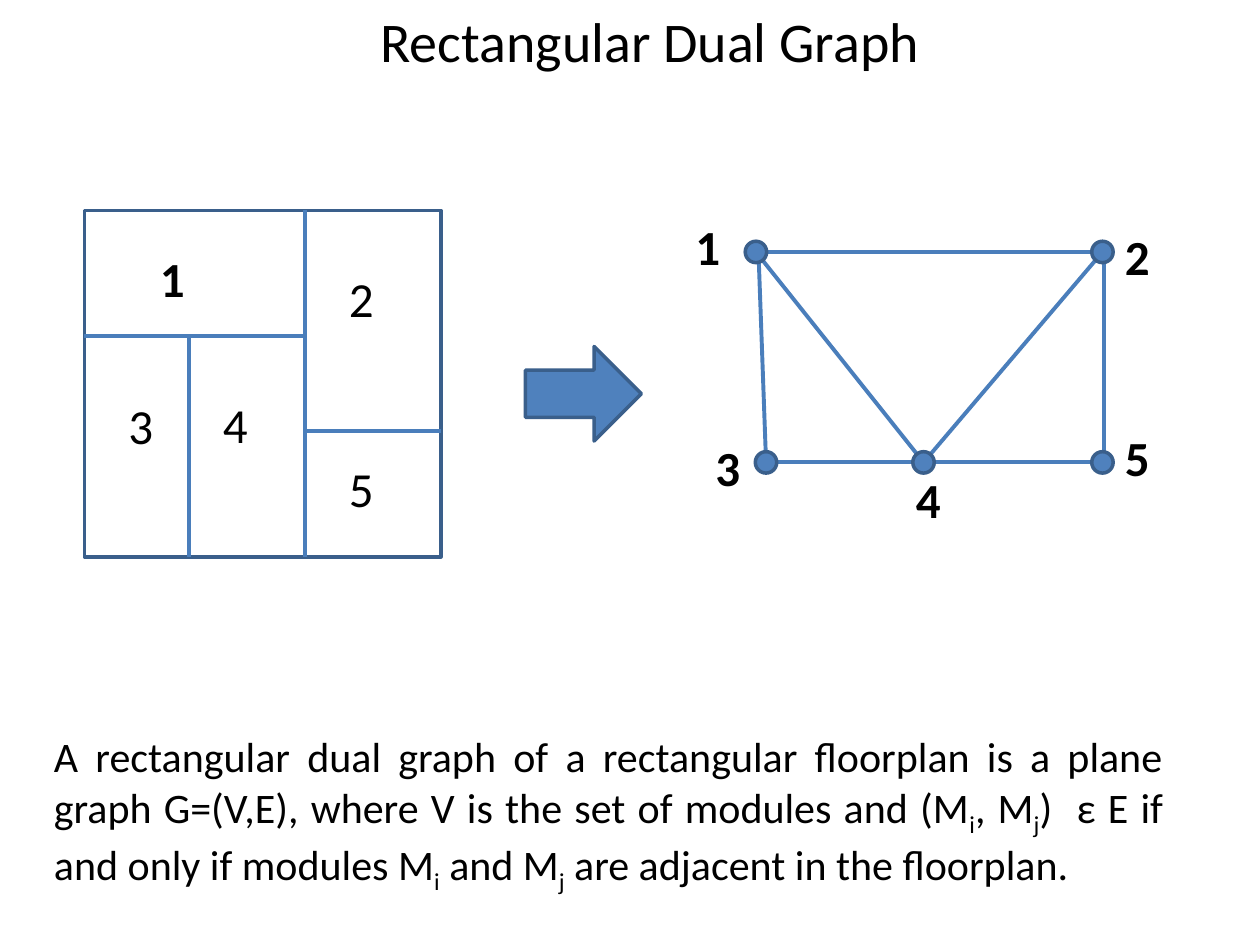
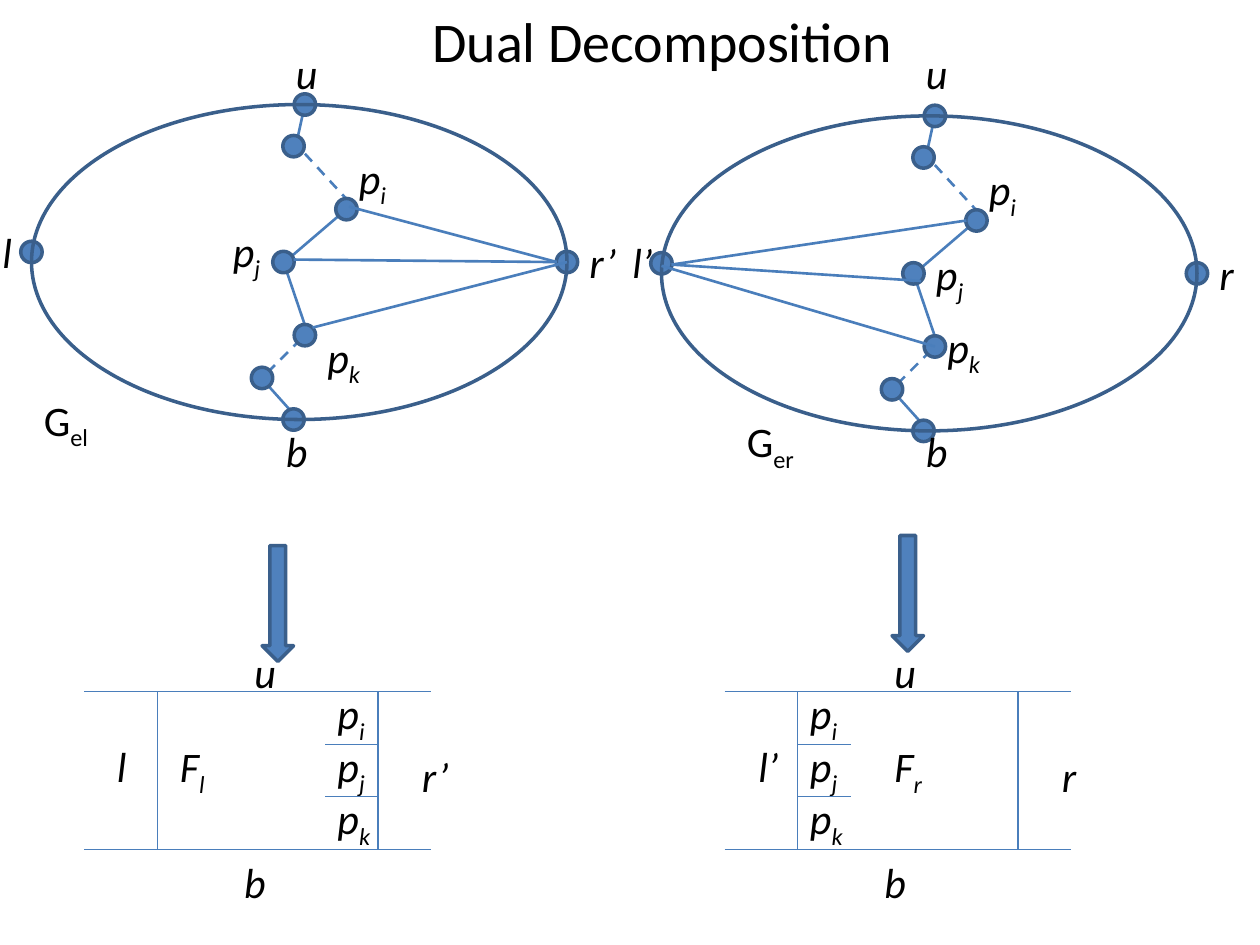
import pptx
import pptx.dml.color
import pptx.enum.dml
import pptx.enum.shapes
import pptx.enum.text
import pptx.oxml.ns
import pptx.util
import lxml.etree

Inches = pptx.util.Inches
Pt = pptx.util.Pt
RGBColor = pptx.dml.color.RGBColor
Shape = pptx.enum.shapes.MSO_SHAPE
Align = pptx.enum.text.PP_ALIGN

BLUE = RGBColor(0x4F, 0x81, 0xBD)
EDGE = RGBColor(0x3A, 0x5F, 0x8B)
LINK = RGBColor(0x4A, 0x7E, 0xBB)
BLACK = RGBColor(0, 0, 0)
WHITE = RGBColor(0xFF, 0xFF, 0xFF)
FONT = "Calibri"
DOT = 0.17


def write(frame, text, size, bold=False, italic=False, align=Align.LEFT):
    frame.word_wrap = True
    frame.auto_size = pptx.enum.text.MSO_AUTO_SIZE.NONE
    frame.vertical_anchor = pptx.enum.text.MSO_ANCHOR.TOP
    para = frame.paragraphs[0]
    para.alignment = align
    for index, part in enumerate(text.split("|")):
        if not part:
            continue
        run = para.add_run()
        run.text = part
        font = run.font
        font.name, font.size = FONT, Pt(size)
        font.bold, font.italic = bold, italic
        font.color.rgb = BLACK
        if index % 2:
            run._r.get_or_add_rPr().set("baseline", "-25000")


def label(slide, x, y, text, size=24, bold=False, italic=True, width=0.58):
    box = slide.shapes.add_textbox(Inches(x), Inches(y), Inches(width), Inches(0.55))
    write(box.text_frame, text, size, bold, italic)


def shape(slide, kind, x, y, width, height, fill=None, line=EDGE):
    item = slide.shapes.add_shape(kind, Inches(x), Inches(y), Inches(width), Inches(height))
    item.shadow.inherit = False
    if fill is None:
        item.fill.background()
    else:
        item.fill.solid()
        item.fill.fore_color.rgb = fill
    if line is None:
        item.line.fill.background()
    else:
        item.line.color.rgb = line
        item.line.width = Pt(2)
    return item


def dot(slide, x, y):
    shape(slide, Shape.OVAL, x - DOT / 2, y - DOT / 2, DOT, DOT, BLUE)


def link(slide, left, top, ends, width, dash=False):
    x1, y1, x2, y2 = ends
    line = slide.shapes.add_connector(
        pptx.enum.shapes.MSO_CONNECTOR.STRAIGHT,
        Inches(left + x1), Inches(top + y1), Inches(left + x2), Inches(top + y2))
    line.line.color.rgb = LINK
    line.line.width = Pt(width)
    if dash:
        line.line.dash_style = pptx.enum.dml.MSO_LINE.DASH
    lxml.etree.SubElement(line._element.spPr, pptx.oxml.ns.qn("a:effectLst"))


def start(deck, text, x, width, height):
    slide = deck.slides.add_slide(deck.slide_layouts[5])
    title = slide.shapes.title
    title.left, title.top = Inches(x), Inches(0)
    title.width, title.height = Inches(width), Inches(height)
    write(title.text_frame, text, 32)
    return slide


def plan(slide, left, top, width, height):
    shape(slide, Shape.RECTANGLE, left, top, width, height)
    walls = [(1.75, 0, 1.75, height), (0, 1, 1.75, 1),
             (0.83, 1, 0.83, height), (1.75, 1.75, width, 1.75)]
    for wall in walls:
        link(slide, left, top, wall, 2.25)
    rooms = [(0.5, 0.25), (2, 0.41), (0.25, 1.42), (1, 1.41), (2, 1.92)]
    for number, (x, y) in enumerate(rooms, 1):
        label(slide, left + x, top + y, str(number), 28, number == 1, False, 0.67)


def dual(slide, left, top):
    edges = [(0, 0, 2.75, 0), (0, 1.67, 2.75, 1.67), (0, 0, 1.33, 1.67),
             (1.33, 1.67, 2.75, 0), (2.76, 0, 2.76, 1.67), (0.02, 0, 0.08, 1.67)]
    for edge in edges:
        link(slide, left, top, edge, 2.25)
    nodes = [(0, 0, -0.58, -0.33), (2.75, 0, 2.83, -0.25), (0.08, 1.67, -0.42, 1.42),
             (1.33, 1.67, 1.17, 1.68), (2.75, 1.67, 2.83, 1.34)]
    for number, (x, y, tx, ty) in enumerate(nodes, 1):
        dot(slide, left + x, top + y)
        label(slide, left + tx, top + ty, str(number), 28, True, False, 0.67)


def note(slide, left, top, width, height):
    box = shape(slide, Shape.RECTANGLE, left, top, width, height, WHITE, None)
    write(box.text_frame,
          "A rectangular dual graph of a rectangular floorplan is a plane graph "
          "G=(V,E), where V is the set of modules and (M|i|, M|j|)  ε E if and only "
          "if modules M|i| and M|j| are adjacent in the floorplan.",
          24, align=Align.JUSTIFY)


def graph(slide, left, top, fan, names, name, spot):
    edges = [(2.17, 0, 2.08, 0.41), (1.77, 2.11, 2.12, 2.5),
             (2.17, 1.75, 2, 1.25), (1.94, 1.31, 2.5, 0.83)]
    gaps = [(1.77, 2.23, 2.17, 1.83), (2.17, 0.39, 2.5, 0.75)]
    for edge in edges:
        link(slide, left, top, edge, 1.5)
    for gap in gaps:
        link(slide, left, top, gap, 1.5, True)
    nodes = [(2.17, 0), (2.08, 0.33), (2.5, 0.83), (2, 1.25), (2.17, 1.83),
             (1.83, 2.17), (2.08, 2.5), (0, 1.17), (4.25, 1.25)]
    for x, y in nodes:
        dot(slide, left + x, top + y)
    shape(slide, Shape.OVAL, left, top, 4.25, 2.5)
    for ray in fan:
        link(slide, left, top, ray, 1.5)
    for text, x, y in names:
        label(slide, left + x, top + y, text)
    label(slide, left + spot[0], top + spot[1], name, italic=False, width=0.67)


def strip(slide, left, top, width, height, tick, names):
    for y in (0, height):
        link(slide, left, top, (0, y, width, y), 0.75)
    for x in (0.58, 2.33):
        link(slide, left, top, (x, 0, x, height), 0.75)
    step = height / 3
    for row, sub in enumerate("ijk"):
        if row:
            link(slide, left, top, (tick, row * step, tick + 0.42, row * step), 0.75)
        label(slide, left + tick, top - 0.08 + row * step, f"p|{sub}|")
    for text, x, y in names + [("u", 1.25, -0.41), ("b", 1.17, 1.26)]:
        label(slide, left + x, top + y, text, width=0.67)


def arrow(slide, kind, x, y, width, height):
    shape(slide, kind, x, y, width, height, BLUE)


def first(deck):
    slide = start(deck, "Rectangular Dual Graph", 2.92, 4.58, 0.93)
    note(slide, 0.33, 5.75, 9, 1.75)
    plan(slide, 0.67, 1.67, 2.83, 2.75)
    dual(slide, 6, 2)
    arrow(slide, Shape.RIGHT_ARROW, 4.17, 2.75, 0.92, 0.75)


def second(deck):
    slide = start(deck, "Dual Decomposition", 3.33, 6.19, 0.63)
    graph(slide, 0.25, 0.83,
          [(2.52, 0.81, 4.17, 1.25), (2.08, 1.23, 4.17, 1.25), (2.23, 1.77, 4.25, 1.25)],
          [("u", 2, -0.5), ("b", 1.92, 2.5), ("p|i|", 2.5, 0.33), ("p|j|", 1.5, 0.91),
           ("p|k|", 2.25, 1.75), ("l", -0.33, 0.92), ("r’", 4.33, 1)],
          "G|el|", (0, 2.25))
    graph(slide, 5.25, 0.92,
          [(2.42, 0.83, 0.08, 1.18), (2.06, 1.31, 0.08, 1.18), (2.17, 1.83, 0, 1.19)],
          [("u", 2, -0.59), ("b", 2, 2.41), ("p|i|", 2.5, 0.33), ("p|j|", 2.08, 1),
           ("p|k|", 2.17, 1.58), ("l’", -0.33, 0.91), ("r", 4.33, 1)],
          "G|er|", (0.58, 2.33))
    strip(slide, 0.67, 5.49, 2.75, 1.25, 1.91,
          [("F|l|", 0.66, 0.34), ("l", 0.16, 0.34), ("r’", 2.58, 0.42)])
    strip(slide, 5.75, 5.49, 2.75, 1.25, 0.58,
          [("F|r|", 1.25, 0.34), ("l’", 0.17, 0.34), ("r", 2.58, 0.42)])
    arrow(slide, Shape.DOWN_ARROW, 2.08, 4.33, 0.25, 0.92)
    arrow(slide, Shape.DOWN_ARROW, 7.08, 4.25, 0.25, 0.92)


def main():
    deck = pptx.Presentation()
    deck.slide_width, deck.slide_height = Inches(10), Inches(7.5)
    first(deck)
    second(deck)
    deck.save("out.pptx")


if __name__ == "__main__":
    main()
